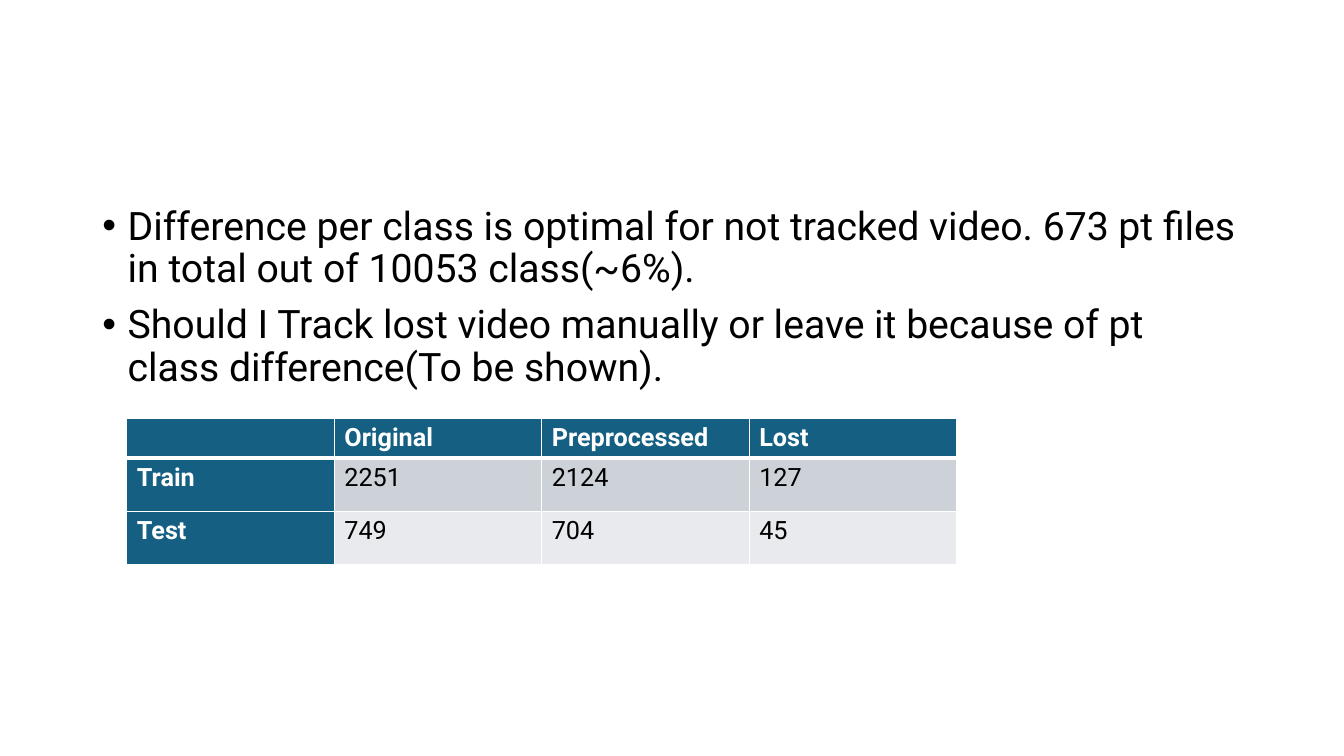
"""Builds a slide on video tracking losses with a list and a table."""
from dataclasses import dataclass

from lxml.etree import SubElement
from pptx import Presentation
from pptx.dml.color import RGBColor
from pptx.enum.text import MSO_ANCHOR, MSO_AUTO_SIZE
from pptx.oxml.ns import qn
from pptx.util import Pt


@dataclass(frozen=True)
class Theme:
    font: str = "Roboto"
    list_size: int = 28
    table_size: int = 18
    ink: str = "000000"
    paper: str = "FFFFFF"
    heading: str = "156082"
    bands: tuple = ("CCD2D8", "E8EAED")


class SlideBuilder:
    def __init__(self, deck, theme):
        self.theme = theme
        self.slide = deck.slides.add_slide(deck.slide_layouts[1])
        title = self.slide.shapes.title
        title.element.getparent().remove(title.element)

    def style(self, paragraph, size, color, bold=False):
        font = paragraph.font
        font.name, font.size, font.bold = self.theme.font, Pt(size), bold
        font.color.rgb = RGBColor.from_string(color)

    def bullets(self, points, left, top, width, height):
        body = self.slide.placeholders[1]
        body.left, body.top = Pt(left), Pt(top)
        body.width, body.height = Pt(width), Pt(height)
        frame = body.text_frame
        frame.text = "\n".join(points)
        frame.word_wrap = True
        frame.auto_size = MSO_AUTO_SIZE.NONE
        frame.vertical_anchor = MSO_ANCHOR.TOP
        for paragraph in frame.paragraphs:
            paragraph.line_spacing = 0.9
            paragraph.space_before = Pt(10)
            properties = paragraph._p.get_or_add_pPr()
            properties.set("marL", str(Pt(18)))
            properties.set("indent", str(Pt(-18)))
            SubElement(properties, qn("a:buFont"), typeface="Arial")
            SubElement(properties, qn("a:buChar"), char="•")
            self.style(paragraph, self.theme.list_size, self.theme.ink)

    def borders(self, cell, top, bottom):
        properties = cell._tc.get_or_add_tcPr()
        for side, weight in (("L", 1), ("R", 1), ("T", top), ("B", bottom)):
            line = SubElement(properties, qn(f"a:ln{side}"), w=str(Pt(weight)))
            fill = SubElement(line, qn("a:solidFill"))
            SubElement(fill, qn("a:srgbClr"), val=self.theme.paper)

    def table(self, records, left, top, column_width, row_heights):
        columns = len(records[0])
        table = self.slide.shapes.add_table(
            len(records), columns, Pt(left), Pt(top),
            Pt(column_width * columns), Pt(sum(row_heights))).table
        table.first_col = True
        for column in table.columns:
            column.width = Pt(column_width)
        for r, (record, height) in enumerate(zip(records, row_heights)):
            table.rows[r].height = Pt(height)
            for c, value in enumerate(record):
                cell = table.cell(r, c)
                cell.text = value
                is_heading = r == 0 or c == 0
                self.borders(cell, 3 if r == 1 else 1, 3 if r == 0 else 1)
                cell.fill.solid()
                cell.fill.fore_color.rgb = RGBColor.from_string(
                    self.theme.heading if is_heading
                    else self.theme.bands[(r - 1) % 2])
                self.style(cell.text_frame.paragraphs[0], self.theme.table_size,
                           self.theme.paper if is_heading else self.theme.ink,
                           is_heading)


def main():
    deck = Presentation()
    deck.slide_width, deck.slide_height = Pt(960), Pt(540)
    builder = SlideBuilder(deck, Theme())
    builder.bullets(
        ["Difference per class is optimal for not tracked video. "
         "673 pt files in total out of 10053 class(~6%).",
         "Should I Track lost video manually or leave it because of pt "
         "class difference(To be shown)."],
        left=66, top=143.75, width=828, height=342.6)
    builder.table(
        [["", "Original", "Preprocessed", "Lost"],
         ["Train", "2251", "2124", "127"],
         ["Test", "749", "704", "45"]],
        left=90.6, top=299, column_width=148.2, row_heights=[28, 38, 38])
    deck.save("out.pptx")


if __name__ == "__main__":
    main()
